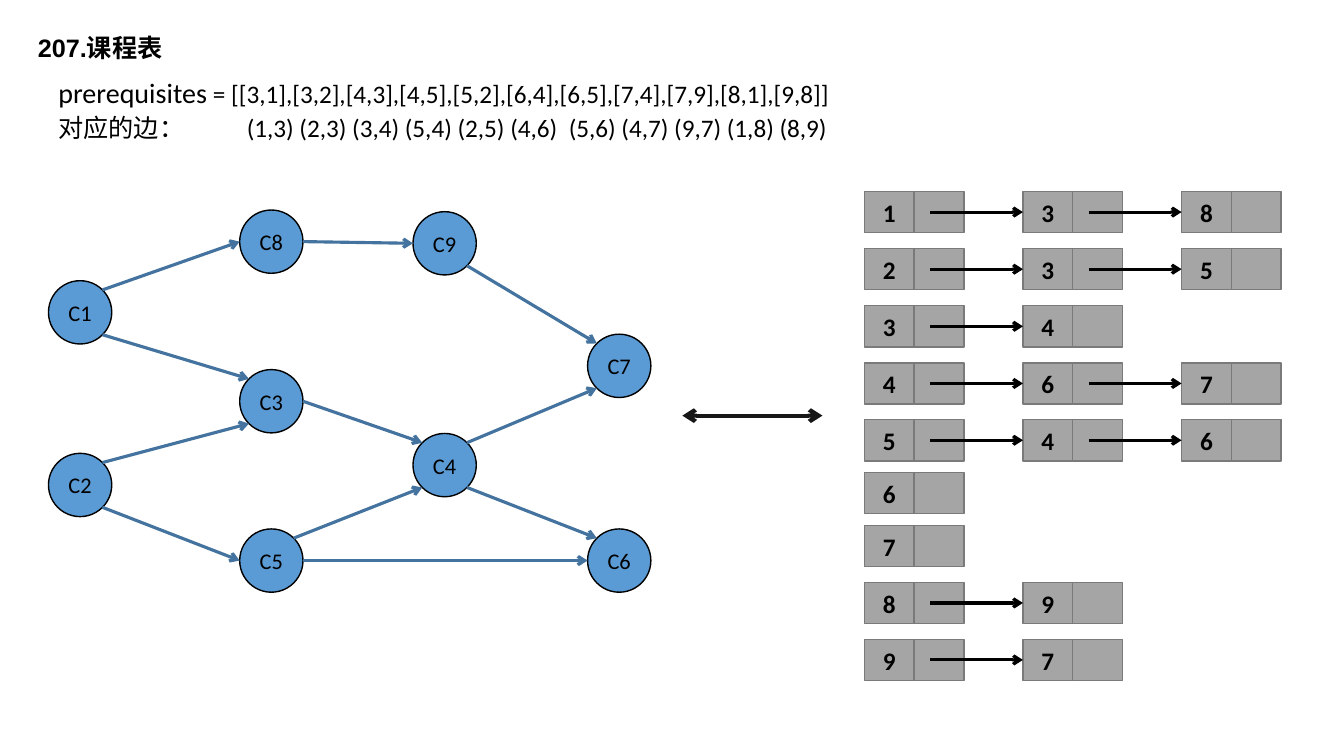
import math

import lxml.etree
import pptx
import pptx.dml.color
import pptx.enum.shapes
import pptx.enum.text
import pptx.oxml.ns
import pptx.util

Pt = pptx.util.Pt
Shape = pptx.enum.shapes.MSO_SHAPE
Text = pptx.enum.text
qn = pptx.oxml.ns.qn

theme = {
    "ink": "000000",
    "title": {"name": "Arial", "size": Pt(18), "bold": True},
    "lead": {"name": "Calibri", "size": Pt(20)},
    "body": {"name": "Calibri", "size": Pt(18)},
    "cell": {"kind": Shape.RECTANGLE, "fill": "A5A5A5", "line": "7A7A7A",
             "font": {"name": "Calibri", "size": Pt(18), "bold": True}},
    "node": {"kind": Shape.OVAL, "fill": "5B9BD5", "line": "000000",
             "font": {"name": "Calibri", "size": Pt(16)}},
    "edge": {"color": "43739E", "width": 2.25, "ends": ["tailEnd"]},
    "link": {"color": "000000", "width": 2.25, "ends": ["tailEnd"]},
    "swap": {"color": "181717", "width": 3, "ends": ["headEnd", "tailEnd"]},
}
rgb = pptx.dml.color.RGBColor.from_string

deck = pptx.Presentation()
deck.slide_width, deck.slide_height = Pt(960), Pt(540)
slide = deck.slides.add_slide(deck.slide_layouts[6])
shapes = slide.shapes


def say(para, text, style):
    """Add a run of text in the given font style."""
    run = para.add_run()
    run.text = text
    for key, value in style.items():
        setattr(run.font, key, value)
    run.font.color.rgb = rgb(theme["ink"])


def arrow(start, end, style):
    line = shapes.add_connector(
        pptx.enum.shapes.MSO_CONNECTOR.STRAIGHT, *map(Pt, (*start, *end)))
    line.line.color.rgb = rgb(style["color"])
    line.line.width = Pt(style["width"])
    props = line.line._get_or_add_ln()
    for tip in style["ends"]:
        lxml.etree.SubElement(props, qn("a:" + tip), type="arrow")
    lxml.etree.SubElement(line._element.spPr, qn("a:effectLst"))


# Heading and input
title = shapes.add_textbox(Pt(20), Pt(19.4), Pt(320), Pt(29)).text_frame
title.word_wrap = True
say(title.paragraphs[0], "207.课程表", theme["title"])

notes = shapes.add_textbox(Pt(34.6), Pt(48.2), Pt(582), Pt(67.7)).text_frame
notes.word_wrap = True
given = notes.paragraphs[0]
pairs = notes.add_paragraph()
stops = lxml.etree.SubElement(pairs._p.get_or_add_pPr(), qn("a:tabLst"))
for stop in (134.6, 364.6):
    lxml.etree.SubElement(stops, qn("a:tab"), pos=str(int(Pt(stop))), algn="l")
for para in (given, pairs):
    para.line_spacing = 1.1
say(given, "prerequisites", theme["lead"])
say(given, " = [[3,1],[3,2],[4,3],[4,5],[5,2],[6,4],[6,5],[7,4],[7,9],[8,1],[9,8]]",
    theme["body"])
say(pairs, "对应的边：\t(1,3) (2,3) (3,4) (5,4) (2,5) (4,6)\t(5,6) (4,7) (9,7) (1,8) (8,9)",
    theme["body"])

# Adjacency lists: row top, then the chain of numbers
chains = [
    (136.8, "138"), (177.6, "235"), (218.4, "34"),
    (259.2, "467"), (299.8, "546"), (337.5, "6"),
    (375.3, "7"), (416, "89"), (456.7, "97"),
]
left, pitch, wide, high, tail = 617.4, 113.3, 35.6, 29.4, 47
blocks, links = [], []
for top, chain in chains:
    for col, digit in enumerate(chain):
        x = left + col * pitch
        blocks.append(((x, top, wide, high), digit, theme["cell"]))
        blocks.append(((x + wide, top, wide, high), "", theme["cell"]))
        if col:
            mid = top + high / 2
            links.append(((x - pitch + tail, mid), (x, mid)))

# Course graph: node centres, and edges with the angles where they touch
size = 45.2
nodes = {
    "C1": (57.2, 223.1), "C2": (57.2, 346.4), "C4": (317.6, 332.2),
    "C7": (442.3, 261.3), "C9": (317.6, 173.8), "C8": (193.8, 172.6),
    "C3": (193.8, 286.6), "C6": (442.3, 400.4), "C5": (193.8, 400.4),
}
edges = [
    ("C1", 45, "C3", 225), ("C2", -45, "C3", 135), ("C5", -45, "C4", 135),
    ("C3", 0, "C4", 225), ("C2", 45, "C5", 180), ("C5", 0, "C6", 180),
    ("C4", 45, "C6", 225), ("C4", -45, "C7", 135), ("C9", 45, "C7", 225),
    ("C1", -45, "C8", 180), ("C8", 0, "C9", 180),
]
for name, (x, y) in nodes.items():
    blocks.append(((x - size / 2, y - size / 2, size, size), name, theme["node"]))

for box, text, style in blocks:
    block = shapes.add_shape(style["kind"], *map(Pt, box))
    block.shadow.inherit = False
    block.fill.solid()
    block.fill.fore_color.rgb = rgb(style["fill"])
    block.line.color.rgb = rgb(style["line"])
    block.line.width = Pt(1)
    if text:
        frame = block.text_frame
        frame.margin_left = frame.margin_right = 0
        frame.vertical_anchor = Text.MSO_ANCHOR.MIDDLE
        frame.paragraphs[0].alignment = Text.PP_ALIGN.CENTER
        say(frame.paragraphs[0], text, style["font"])

for start, end in links:
    arrow(start, end, theme["link"])
for source, out, target, into in edges:
    ends = []
    for name, turn in ((source, out), (target, into)):
        x, y = nodes[name]
        angle = math.radians(turn)
        ends.append((x + size / 2 * math.cos(angle), y + size / 2 * math.sin(angle)))
    arrow(*ends, theme["edge"])
arrow((487.4, 296.9), (587.5, 296.9), theme["swap"])

deck.save("out.pptx")
